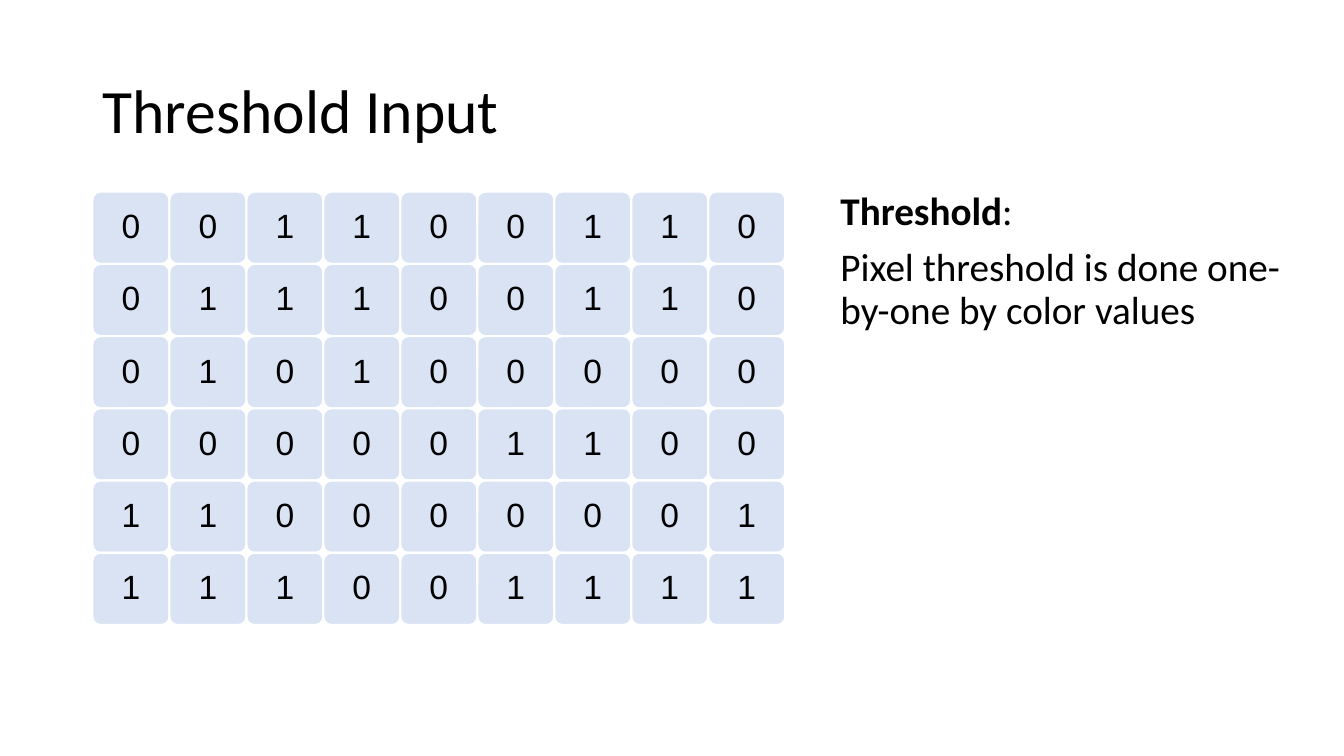
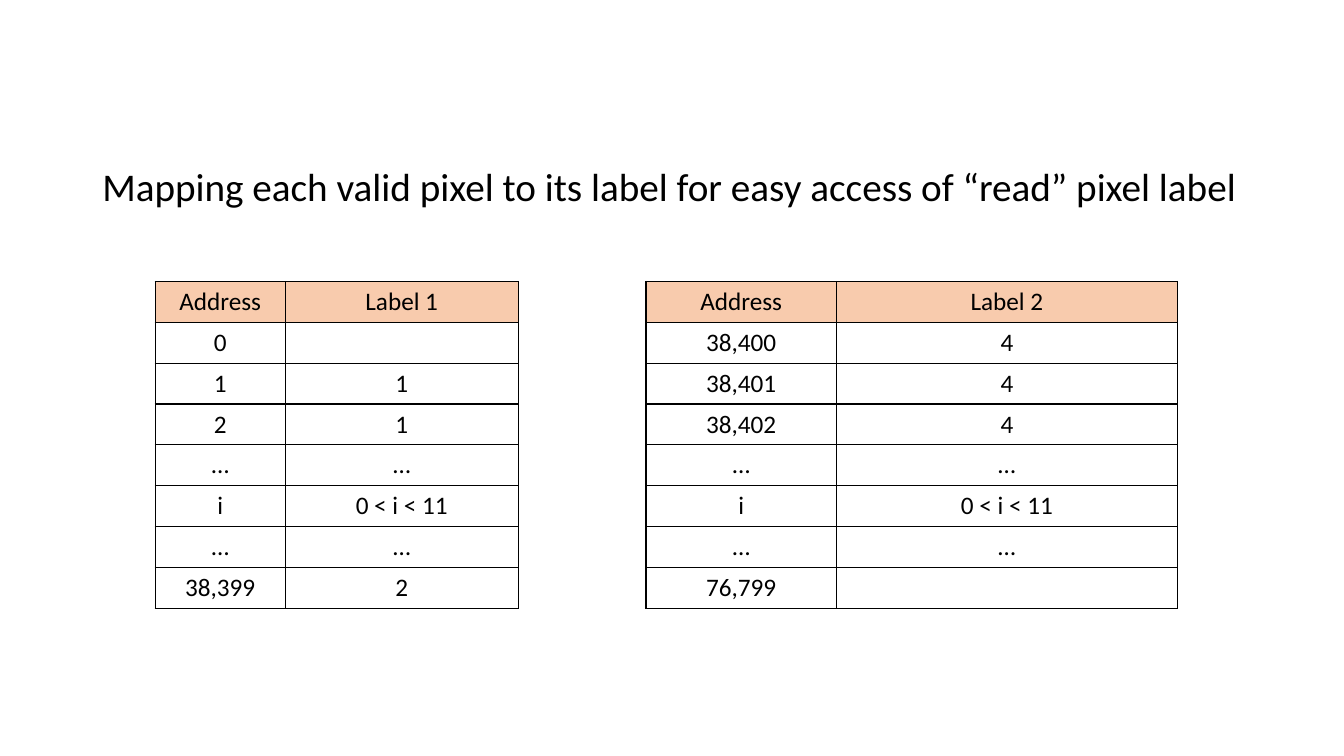
from lxml import etree
from pptx import Presentation
from pptx.dml.color import RGBColor
from pptx.enum import shapes, text
from pptx.oxml import ns
from pptx.util import Cm, Pt

BLACK = RGBColor(0x00, 0x00, 0x00)
WHITE = RGBColor(0xFF, 0xFF, 0xFF)
PIXEL_BLUE = RGBColor(0xDA, 0xE3, 0xF3)
HEADER_ORANGE = RGBColor(0xF8, 0xCB, 0xAD)
BODY_FONT = "Calibri"
PIXEL_FONT = "Arial"

TITLE_ONLY, BLANK = 5, 6
MARGIN = 2.33
CONTENT_WIDTH = 29.21
PIXEL_TOP, PIXEL_WIDTH, PIXEL_HEIGHT = 4.83, 1.94, 1.82
TABLE_TOP, ROW_HEIGHT = 7.09, 1.03

PIXELS = [
    "001100110",
    "011100110",
    "010100000",
    "000001100",
    "110000001",
    "111001111",
]
LABELS_1 = [
    ("Address", "Label 1"),
    ("0", ""),
    ("1", "1"),
    ("2", "1"),
    ("…", "…"),
    ("i", "0 < i < 11"),
    ("…", "…"),
    ("38,399", "2"),
]
LABELS_2 = [
    ("Address", "Label 2"),
    ("38,400", "4"),
    ("38,401", "4"),
    ("38,402", "4"),
    ("…", "…"),
    ("i", "0 < i < 11"),
    ("…", "…"),
    ("76,799", ""),
]


def style_paragraph(paragraph, size, font=BODY_FONT, align=text.PP_ALIGN.LEFT,
                    line_spacing=0.9, before=0):
    paragraph.alignment = align
    paragraph.line_spacing = line_spacing
    paragraph.space_before = Pt(before)
    for run in paragraph.runs:
        run.font.size = Pt(size)
        run.font.name = font
        run.font.color.rgb = BLACK


def set_title(slide, wording):
    title = slide.shapes.title
    title.left, title.top = Cm(MARGIN), Cm(1.01)
    title.width, title.height = Cm(CONTENT_WIDTH), Cm(3.68)
    frame = title.text_frame
    frame.text = wording
    frame.auto_size = text.MSO_AUTO_SIZE.NONE
    frame.vertical_anchor = text.MSO_ANCHOR.MIDDLE
    style_paragraph(frame.paragraphs[0], 44)


def add_body(slide, left, top, width, paragraphs):
    """Add body text; each paragraph is a list of (wording, bold) runs."""
    frame = slide.shapes.add_textbox(Cm(left), Cm(top), Cm(width), Cm(12.09)).text_frame
    frame.word_wrap = True
    for index, runs in enumerate(paragraphs):
        paragraph = frame.add_paragraph() if index else frame.paragraphs[0]
        for wording, bold in runs:
            run = paragraph.add_run()
            run.text = wording
            run.font.bold = bold
        style_paragraph(paragraph, 28, before=10)


def add_pixel(slide, row, column, value):
    pixel = slide.shapes.add_shape(
        shapes.MSO_SHAPE.ROUNDED_RECTANGLE,
        Cm(MARGIN + column * PIXEL_WIDTH), Cm(PIXEL_TOP + row * PIXEL_HEIGHT),
        Cm(PIXEL_WIDTH), Cm(PIXEL_HEIGHT))
    pixel.adjustments[0] = 0.11
    pixel.shadow.inherit = False
    pixel.fill.solid()
    pixel.fill.fore_color.rgb = PIXEL_BLUE
    pixel.line.color.rgb = WHITE
    pixel.line.width = Pt(1.5)
    frame = pixel.text_frame
    frame.text = value
    frame.vertical_anchor = text.MSO_ANCHOR.MIDDLE
    style_paragraph(frame.paragraphs[0], 24, PIXEL_FONT, text.PP_ALIGN.CENTER, before=10)


def add_borders(cell):
    properties = cell._tc.get_or_add_tcPr()
    for side in ("a:lnL", "a:lnR", "a:lnT", "a:lnB"):
        line = etree.SubElement(properties, ns.qn(side), w=str(Pt(1)))
        fill = etree.SubElement(line, ns.qn("a:solidFill"))
        etree.SubElement(fill, ns.qn("a:srgbClr"), val=str(BLACK))


def add_label_table(slide, left, column_widths, rows):
    table = slide.shapes.add_table(
        len(rows), len(column_widths), Cm(left), Cm(TABLE_TOP),
        Cm(sum(column_widths)), Cm(ROW_HEIGHT * len(rows))).table
    table.first_row = table.horz_banding = False
    for column, width in zip(table.columns, column_widths):
        column.width = Cm(width)
    for row_index, values in enumerate(rows):
        table.rows[row_index].height = Cm(ROW_HEIGHT)
        for column_index, value in enumerate(values):
            cell = table.cell(row_index, column_index)
            add_borders(cell)
            if row_index == 0:
                cell.fill.solid()
                cell.fill.fore_color.rgb = HEADER_ORANGE
            else:
                cell.fill.background()
            cell.text_frame.text = value
            style_paragraph(cell.text_frame.paragraphs[0], 18,
                            align=text.PP_ALIGN.CENTER, line_spacing=1.0)


def build_threshold_slide(prs):
    slide = prs.slides.add_slide(prs.slide_layouts[TITLE_ONLY])
    set_title(slide, "Threshold Input")
    for row, values in enumerate(PIXELS):
        for column, value in enumerate(values):
            add_pixel(slide, row, column, value)
    add_body(slide, 20.93, 4.7, 11.58, [
        [("Threshold", True), (":", False)],
        [("Pixel threshold is done one-by-one by color values", False)],
    ])


def build_mapping_slide(prs):
    slide = prs.slides.add_slide(prs.slide_layouts[BLANK])
    add_body(slide, MARGIN, 4.09, CONTENT_WIDTH, [
        [("Mapping each valid pixel to its label for easy access of “read” pixel label", False)],
    ])
    add_label_table(slide, 3.91, (3.28, 5.87), LABELS_1)
    add_label_table(slide, 16.28, (4.8, 8.59), LABELS_2)


def main():
    prs = Presentation()
    prs.slide_width, prs.slide_height = Cm(33.87), Cm(19.05)
    build_threshold_slide(prs)
    build_mapping_slide(prs)
    prs.save("out.pptx")


if __name__ == "__main__":
    main()
